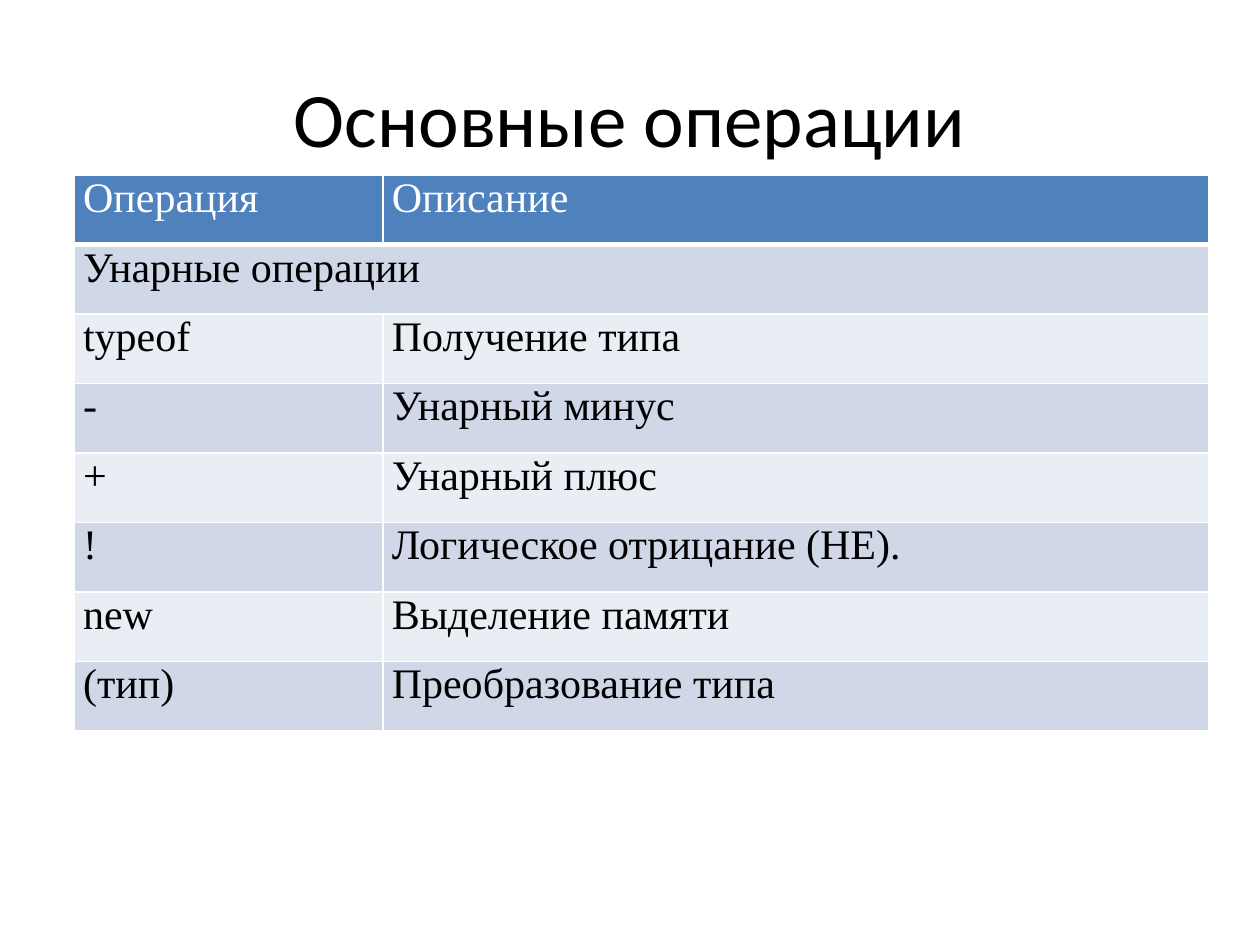
from lxml.etree import SubElement
from pptx import Presentation
from pptx.dml.color import RGBColor
from pptx.enum.text import MSO_ANCHOR as Anchor, PP_ALIGN as Align
from pptx.oxml.ns import qn
from pptx.util import Pt

BLACK = RGBColor(0x00, 0x00, 0x00)
WHITE = RGBColor(0xFF, 0xFF, 0xFF)
HEADER = RGBColor(0x4F, 0x81, 0xBD)
BANDS = RGBColor(0xE9, 0xED, 0xF4), RGBColor(0xD0, 0xD8, 0xE8)

OPERATIONS = [
    ("Операция", "Описание"),
    ("Унарные операции",),
    ("typeof", "Получение типа"),
    ("-", "Унарный минус"),
    ("+", "Унарный плюс"),
    ("!", "Логическое отрицание (НЕ)."),
    ("new", "Выделение памяти"),
    ("(тип)", "Преобразование типа"),
]


class SlideBuilder:
    title_font = "Calibri"
    table_font = "Times New Roman"

    def __init__(self, page):
        self.page = page

    def add_span(self, para, text, font, size, color):
        span = para.add_run()
        span.text = text
        span.font.name = font
        span.font.size = Pt(size)
        span.font.bold = False
        span.font.color.rgb = color

    def title(self, text, left, top, width, height):
        box = self.page.shapes.title
        box.left, box.top, box.width, box.height = map(Pt, (left, top, width, height))
        frame = box.text_frame
        frame.word_wrap = True
        frame.vertical_anchor = Anchor.MIDDLE
        para = frame.paragraphs[0]
        para.alignment = Align.CENTER
        self.add_span(para, text, self.title_font, 44, BLACK)

    def borders(self, cell, bottom):
        properties = cell._tc.get_or_add_tcPr()
        for side, width in (("L", 1), ("R", 1), ("T", 1), ("B", bottom)):
            line = SubElement(properties, qn(f"a:ln{side}"), w=str(Pt(width)))
            fill = SubElement(line, qn("a:solidFill"))
            SubElement(fill, qn("a:srgbClr"), val=str(WHITE))

    def cell(self, cell, text, fill, color, bottom):
        cell.margin_left = cell.margin_right = Pt(5)
        cell.margin_top = cell.margin_bottom = 0
        self.borders(cell, bottom)
        cell.fill.solid()
        cell.fill.fore_color.rgb = fill
        if text:
            self.add_span(cell.text_frame.paragraphs[0], text, self.table_font, 24, color)

    def table(self, rows, left, top, widths, row_height):
        table = self.page.shapes.add_table(
            len(rows), len(widths), Pt(left), Pt(top),
            Pt(sum(widths)), Pt(row_height * len(rows))).table
        for column, width in zip(table.columns, widths):
            column.width = Pt(width)
        for index, texts in enumerate(rows):
            table.rows[index].height = Pt(row_height)
            fill, color, bottom = (BANDS[index % 2], BLACK, 1) if index else (HEADER, WHITE, 3)
            for place in range(len(widths)):
                text = texts[place] if place < len(texts) else ""
                self.cell(table.cell(index, place), text, fill, color, bottom)
            if len(texts) == 1:
                table.cell(index, 0).merge(table.cell(index, len(widths) - 1))


def main():
    deck = Presentation()
    deck.slide_width, deck.slide_height = Pt(720), Pt(540)
    builder = SlideBuilder(deck.slides.add_slide(deck.slide_layouts[5]))
    builder.title("Основные операции", 36, 21.6, 648, 90)
    builder.table(OPERATIONS, 42.5, 100.1, (176.4, 471.6), 39.7)
    deck.save("out.pptx")


if __name__ == "__main__":
    main()
